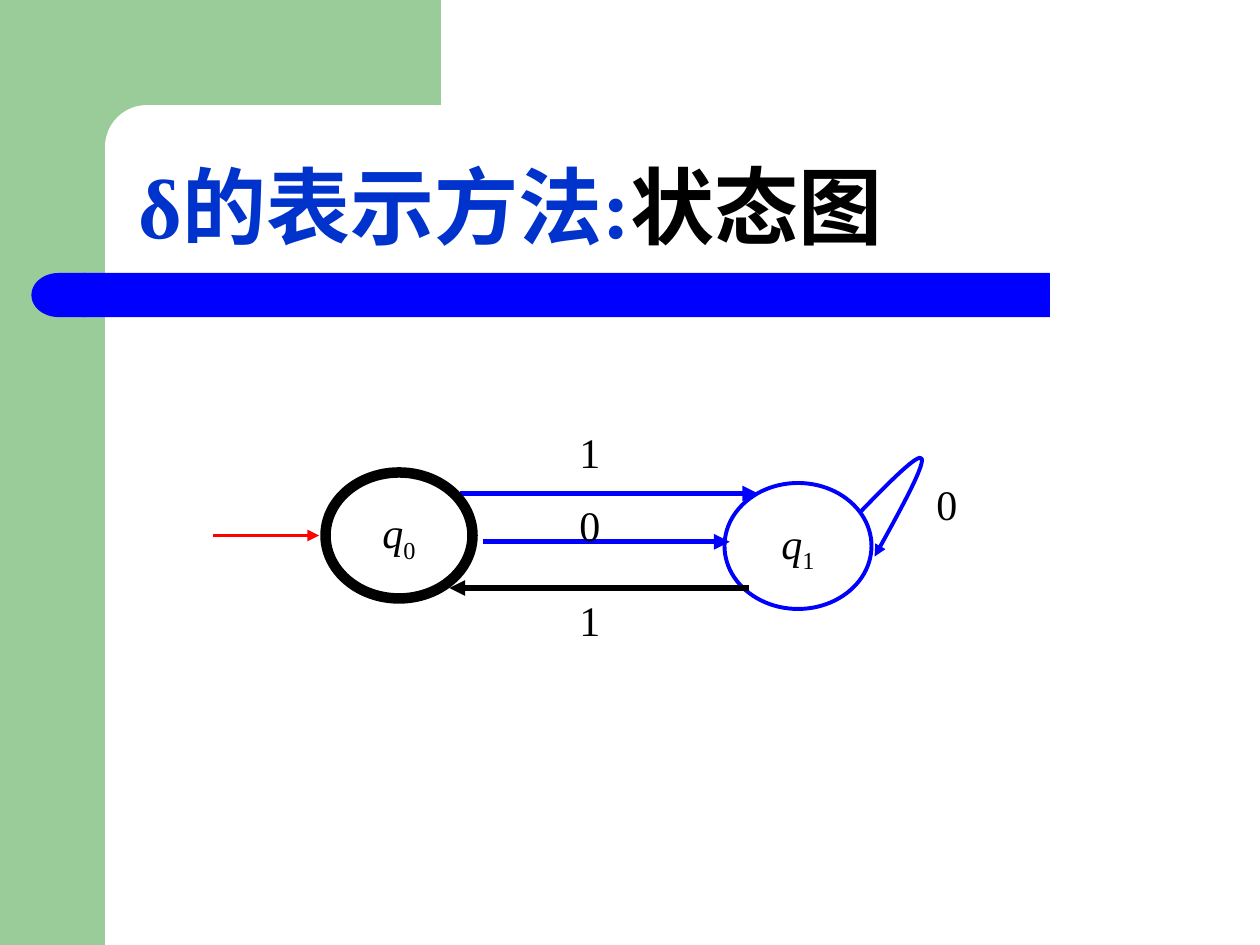
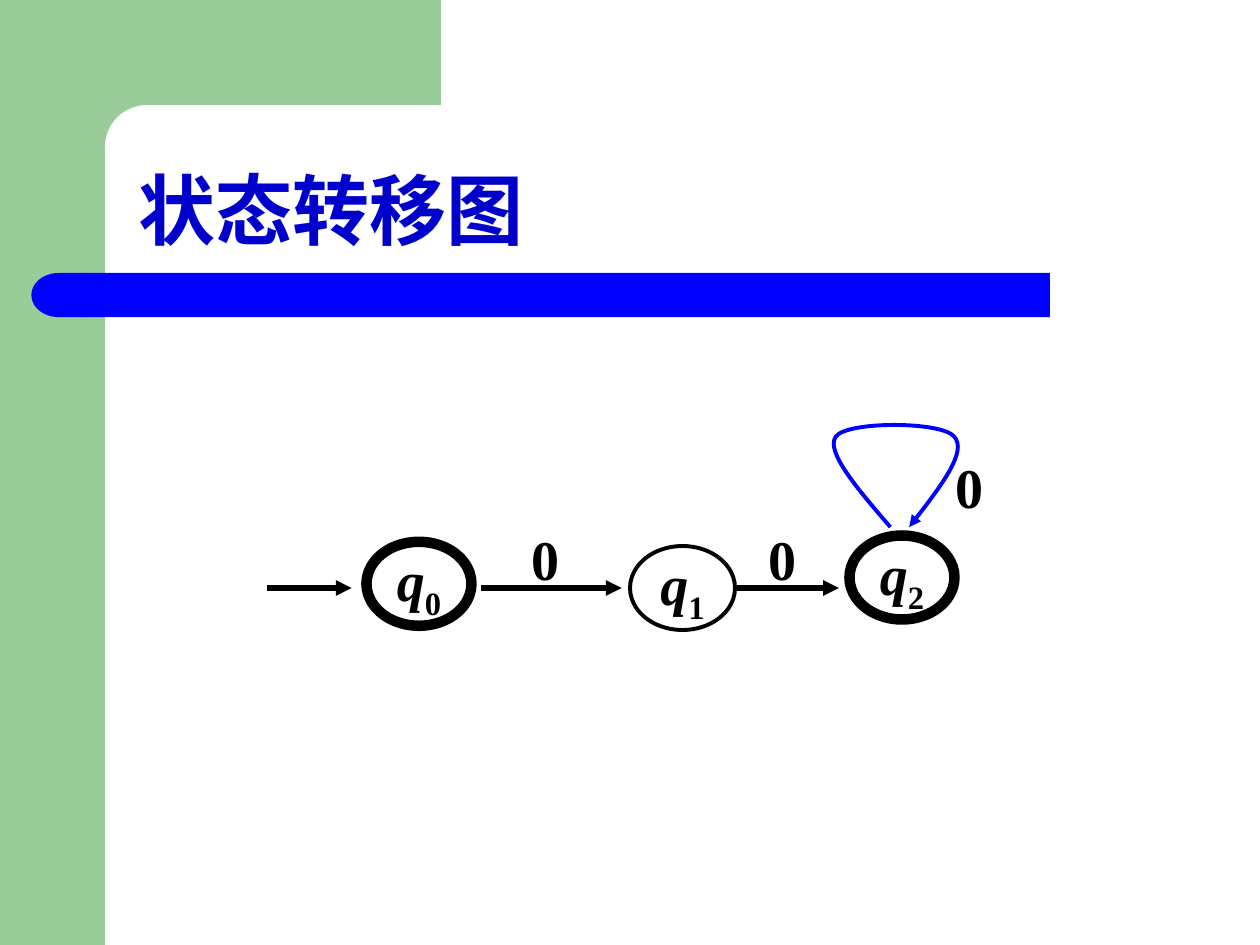
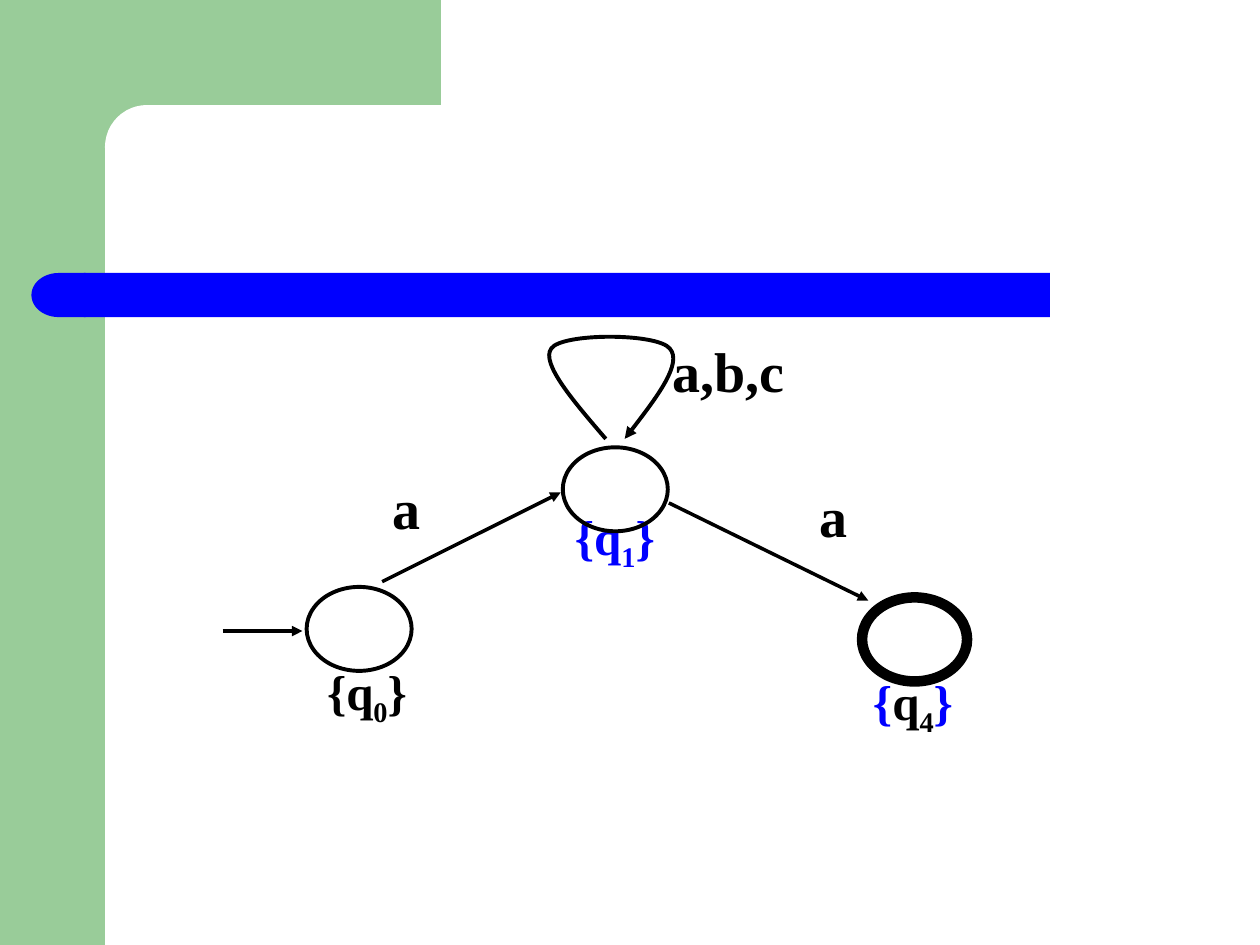
from typing import NamedTuple

from lxml import etree
from pptx import Presentation
from pptx import util as u
from pptx.dml.color import RGBColor
from pptx.enum import shapes, text
from pptx.oxml import ns

KIND = shapes.MSO_SHAPE
ALIGN = text.PP_ALIGN
ANCHOR = text.MSO_ANCHOR


class Theme:
    green, blue, white = "99CC99", "0000FF", "FFFFFF"
    black, red = "000000", "FF0000"
    royal, navy = "0033CC", "0000CC"
    serif, sans = "Times New Roman", "Noto Sans CJK SC"
    head, topic = 48, 44
    small, name, large = 24, 28, 32
    thin, fine, mid, thick = 2, 2.25, 3, 6


class Box(NamedTuple):
    """Column, row, width and height on the grid of 120 by 90 cells."""
    x: float
    y: float
    w: float
    h: float


class Band(NamedTuple):
    kind: int
    box: Box
    color: str
    round: float | None = None
    flip: bool = False


class Run(NamedTuple):
    text: str
    color: str = Theme.black
    italic: bool = False
    sub: bool = False


class State(NamedTuple):
    box: Box
    sub: str = ""
    color: str = Theme.black
    width: float = Theme.fine


class Arrow(NamedTuple):
    x1: float
    y1: float
    x2: float
    y2: float
    color: str = Theme.black
    width: float = Theme.mid


class Label(NamedTuple):
    box: Box
    runs: list[Run]


BANDS = [
    Band(KIND.RECTANGLE, Box(0, 0, 10, 90), Theme.green),
    Band(KIND.RECTANGLE, Box(9, 0, 33, 14), Theme.green),
    Band(KIND.ROUNDED_RECTANGLE, Box(10, 10, 67, 8), Theme.white, round=0.5),
    Band(KIND.ROUNDED_RECTANGLE, Box(8, 26, 92, 4.2), Theme.blue, round=0),
    Band(KIND.FLOWCHART_DELAY, Box(3, 26, 5.16, 4.2), Theme.blue, flip=True),
]
TITLE = Box(12, 10, 105, 15)
# Steps from the start of a loop that leaves and re-enters a state from above
LOOP = [(0, 0), (-3.1, -3.6), (-6.2, -7.2), (-5.2, -8.6), (-4.2, -10.1),
        (4.9, -10.1), (6.1, -8.6), (7.3, -7.2), (4.6, -3.6), (1.8, 0)]


def cell(n: float) -> int:
    return u.Inches(n / 12)


def place(box: Box) -> list[int]:
    return [cell(n) for n in box]


def rgb(color: str) -> RGBColor:
    return RGBColor.from_string(color)


def write(frame, runs: list[Run], *, size: float, bold: bool = False,
          font: str = Theme.serif, align=ALIGN.CENTER, anchor=ANCHOR.MIDDLE,
          wrap: bool = True, inset: float | None = None,
          space: float | None = None) -> None:
    frame.word_wrap, frame.vertical_anchor = wrap, anchor
    if inset is not None:
        frame.margin_left = frame.margin_right = u.Pt(inset)
        frame.margin_top = frame.margin_bottom = u.Pt(inset)
    para = frame.paragraphs[0]
    para.alignment, para.line_spacing = align, space
    for item in runs:
        run = para.add_run()
        run.text = item.text
        face = run.font
        face.name, face.size, face.bold = font, u.Pt(size), bold
        face.italic = item.italic
        face.color.rgb = rgb(item.color)
        props = run._r.get_or_add_rPr()
        etree.SubElement(props, ns.qn("a:ea"), typeface=Theme.sans)
        if item.sub:
            props.set("baseline", "-25000")


def stroke(line, color: str, width: float) -> None:
    line.color.rgb, line.width = rgb(color), u.Pt(width)


def tip(shape) -> None:
    """Put an arrowhead at the end of a line."""
    line = shape.line._get_or_add_ln()
    etree.SubElement(line, ns.qn("a:tailEnd"), type="triangle")


def add_band(slide, band: Band):
    shape = slide.shapes.add_shape(band.kind, *place(band.box))
    shape.shadow.inherit = False
    shape.fill.solid()
    shape.fill.fore_color.rgb = rgb(band.color)
    shape.line.fill.background()
    if band.round is not None:
        shape.adjustments[0] = band.round
    if band.flip:
        shape.element.spPr.find(ns.qn("a:xfrm")).set("flipH", "1")
    return shape


def add_state(slide, state: State, size: float = Theme.large,
              bold: bool = True) -> None:
    shape = slide.shapes.add_shape(KIND.OVAL, *place(state.box))
    shape.shadow.inherit = False
    shape.fill.background()
    stroke(shape.line, state.color, state.width)
    if state.sub:
        runs = [Run("q", italic=True), Run(state.sub, sub=True)]
        write(shape.text_frame, runs, size=size, bold=bold, wrap=False)


def add_arrow(slide, arrow: Arrow) -> None:
    line = slide.shapes.add_connector(
        shapes.MSO_CONNECTOR.STRAIGHT, *[cell(n) for n in arrow[:4]])
    etree.SubElement(line.element.spPr, ns.qn("a:effectLst"))
    stroke(line.line, arrow.color, arrow.width)
    tip(line)


def add_curve(slide, points: list[tuple[float, float]], color: str) -> None:
    """Draw an arrow of cubic curves: a start, then three points for each."""
    spots = [(cell(x), cell(y)) for x, y in points]
    pen = slide.shapes.build_freeform(*spots[0])
    pen.add_line_segments(spots[1:], close=False)
    shape = pen.convert_to_shape()
    route = next(shape.element.iter(ns.qn("a:path")))
    steps = route.findall(ns.qn("a:lnTo"))
    for i in range(0, len(steps), 3):
        curve = etree.SubElement(route, ns.qn("a:cubicBezTo"))
        for step in steps[i:i + 3]:
            curve.append(step[0])
            route.remove(step)
    shape.shadow.inherit = False
    shape.fill.background()
    stroke(shape.line, color, Theme.fine)
    tip(shape)


def add_loop(slide, x: float, y: float, color: str) -> None:
    add_curve(slide, [(x + dx, y + dy) for dx, dy in LOOP], color)


def add_label(slide, label: Label, **style) -> None:
    box = slide.shapes.add_textbox(*place(label.box))
    write(box.text_frame, label.runs, **style)


def add_title(slide, runs: list[Run], **style) -> None:
    write(slide.shapes.title.text_frame, runs, bold=True, align=ALIGN.LEFT,
          anchor=ANCHOR.BOTTOM, space=0.9, **style)


def set_layout(deck):
    """Put the bands and the title's place on the layout all slides use."""
    layout = deck.slide_layouts.get_by_name("Title Only")
    for hold in list(layout.placeholders):
        if hold.placeholder_format.idx:
            hold.element.getparent().remove(hold.element)
        else:
            hold.left, hold.top, hold.width, hold.height = place(TITLE)
    return layout


def move_bands(slide, layout) -> None:
    for i, band in enumerate(BANDS):
        layout.shapes.element.insert(2 + i, add_band(slide, band).element)


def draw_methods(slide) -> None:
    add_title(slide, [Run("δ的表示方法:", Theme.royal), Run("状态图")],
              size=Theme.head)
    add_state(slide, State(Box(69, 46, 14, 12), "1", Theme.blue),
              Theme.small, False)
    for arrow in [Arrow(20.3, 51, 30.4, 51, Theme.red, Theme.fine),
                  Arrow(46, 51.6, 69.5, 51.6, Theme.blue),
                  Arrow(71.3, 56, 42.8, 56),
                  Arrow(43.8, 47, 72.2, 47, Theme.blue)]:
        add_arrow(slide, arrow)
    add_curve(slide, [(82, 48.7), (84.8, 45.8), (87.6, 43), (87.8, 43.7),
                      (88, 44.4), (85.7, 48.7), (83.3, 53)], Theme.blue)
    for x, y, word in [(54, 40, "1"), (54, 47, "0"), (54, 56, "1"),
                       (88, 45, "0")]:
        add_label(slide, Label(Box(x, y, 5, 6), [Run(word)]),
                  size=Theme.small, align=ALIGN.LEFT, anchor=ANCHOR.TOP)
    add_state(slide, State(Box(31, 45, 14, 12), "0", width=Theme.thick),
              Theme.small, False)


def draw_moves(slide) -> None:
    add_title(slide, [Run("状态转移图", Theme.navy)], size=Theme.topic,
              font=Theme.sans)
    for x1, x2 in [(25.4, 33.5), (45.8, 59.2), (70, 79.9)]:
        add_arrow(slide, Arrow(x1, 56, x2, 56))
    add_loop(slide, 84.8, 50.2, Theme.blue)
    for x, y, w in [(50.5, 50, 3), (73, 50, 3), (87.8, 43.1, 9)]:
        add_label(slide, Label(Box(x, y, w, 6.4), [Run("0")]),
                  size=Theme.large, bold=True, inset=0)
    for x, y, sub, width in [(60, 52, "1", Theme.fine),
                             (80.9, 51, "2", Theme.thick),
                             (34.9, 51.6, "0", Theme.thick)]:
        add_state(slide, State(Box(x, y, 10, 8), sub, width=width))


def draw_sets(slide) -> None:
    title = slide.shapes.title.element
    title.getparent().remove(title)
    add_loop(slide, 57.7, 41.8, Theme.black)
    for x, y, w, word in [(34.4, 45, 8.6, "a"), (60.6, 32, 17.6, "a,b,c"),
                          (75.1, 45.8, 8.5, "a")]:
        add_label(slide, Label(Box(x, y, w, 6.5), [Run(word)]),
                  size=Theme.large, bold=True, inset=0)
    for ends in [(36.4, 55.4, 53.4, 46.9), (21.2, 60.1, 28.8, 60.1),
                 (63.7, 47.9, 82.7, 57.2)]:
        add_arrow(slide, Arrow(*ends, width=Theme.thin))
    for x, y, sub, brace, ink in [
            (26, 63.4, "0", Theme.black, Theme.black),
            (49.6, 48.6, "1", Theme.blue, Theme.blue),
            (78, 64.3, "4", Theme.blue, Theme.black)]:
        runs = [Run("{", brace), Run("q", ink), Run(sub, ink, sub=True),
                Run("}", brace)]
        add_label(slide, Label(Box(x, y, 17.9, 5.6), runs),
                  size=Theme.name, bold=True, inset=0)
    for x, y, width in [(29.2, 55.9, Theme.fine), (82.1, 56.9, Theme.thick),
                        (53.6, 42.6, Theme.fine)]:
        add_state(slide, State(Box(x, y, 10, 8), width=width))


def main() -> None:
    deck = Presentation()
    deck.slide_width, deck.slide_height = cell(120), cell(90)
    layout = set_layout(deck)
    for draw in (draw_methods, draw_moves, draw_sets):
        slide = deck.slides.add_slide(layout)
        if len(deck.slides) == 1:
            move_bands(slide, layout)
        draw(slide)
    deck.save("out.pptx")


if __name__ == "__main__":
    main()
